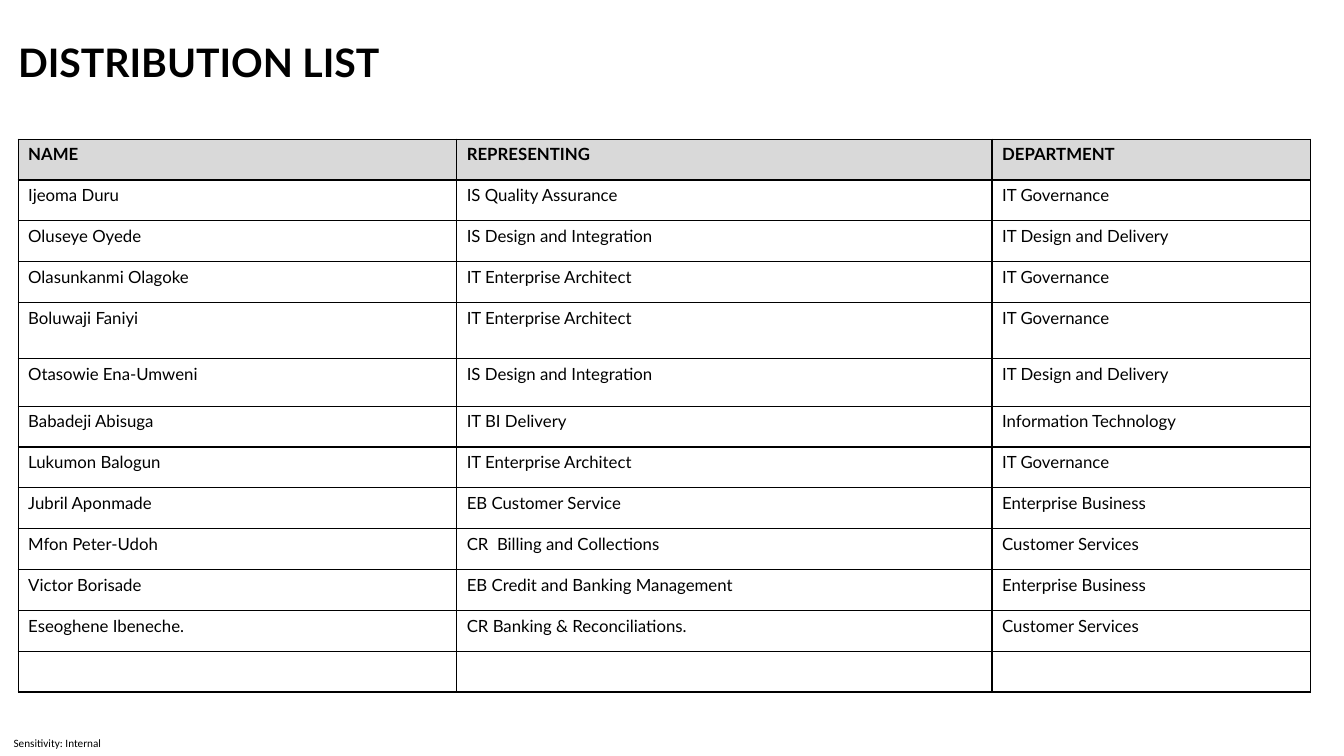
from typing import NamedTuple

import pptx
import pptx.dml.color
import pptx.enum.text
import pptx.oxml
import pptx.oxml.ns
import pptx.util
from pptx.util import Inches

BLACK = pptx.dml.color.RGBColor(0x00, 0x00, 0x00)
HEADER_GREY = pptx.dml.color.RGBColor(0xD9, 0xD9, 0xD9)

TABLE_HEIGHT = 5.49
COLUMN_WIDTHS = (4.35, 5.31, 3.16)
TALL_ROWS = {4: 0.56, 5: 0.47}


class Recipient(NamedTuple):
    name: str = ""
    representing: str = ""
    department: str = ""


HEADER = Recipient("NAME", "REPRESENTING", "DEPARTMENT")
RECIPIENTS = (
    Recipient("Ijeoma Duru", "IS Quality Assurance", "IT Governance"),
    Recipient("Oluseye Oyede", "IS Design and Integration", "IT Design and Delivery"),
    Recipient("Olasunkanmi Olagoke", "IT Enterprise Architect", "IT Governance"),
    Recipient("Boluwaji Faniyi", "IT Enterprise Architect", "IT Governance"),
    Recipient("Otasowie Ena-Umweni", "IS Design and Integration", "IT Design and Delivery"),
    Recipient("Babadeji Abisuga", "IT BI Delivery", "Information Technology"),
    Recipient("Lukumon Balogun", "IT Enterprise Architect", "IT Governance"),
    Recipient("Jubril Aponmade", "EB Customer Service", "Enterprise Business"),
    Recipient("Mfon Peter-Udoh", "CR  Billing and Collections", "Customer Services"),
    Recipient("Victor Borisade", "EB Credit and Banking Management", "Enterprise Business"),
    Recipient("Eseoghene Ibeneche.", "CR Banking & Reconciliations.", "Customer Services"),
    Recipient(),
)


def style_paragraph(p, size: float, font: str = "Lato", bold: bool = False) -> None:
    p.font.name = font
    p.font.size = pptx.util.Pt(size)
    p.font.bold = bold
    p.font.color.rgb = BLACK


def add_text(slide, text: str, left: float, top: float, width: float, height: float):
    """Add a text box without margins and return its text frame."""
    sp = slide.shapes.add_textbox(Inches(left), Inches(top), Inches(width), Inches(height))
    tf = sp.text_frame
    tf.word_wrap = True
    tf.margin_left = tf.margin_right = tf.margin_top = tf.margin_bottom = 0
    tf.text = text
    return tf


def add_borders(cell) -> None:
    properties = cell._tc.get_or_add_tcPr()
    for side in ("lnL", "lnR", "lnT", "lnB"):
        properties.append(pptx.oxml.parse_xml(
            f'<a:{side} {pptx.oxml.ns.nsdecls("a")} w="{pptx.util.Pt(1)}">'
            f'<a:solidFill><a:srgbClr val="{BLACK}"/></a:solidFill></a:{side}>'
        ))


def fill_cell(cell, text: str, is_header: bool) -> None:
    add_borders(cell)
    if is_header:
        cell.fill.solid()
        cell.fill.fore_color.rgb = HEADER_GREY
    else:
        cell.fill.background()
    cell.text = text
    style_paragraph(cell.text_frame.paragraphs[0], 12, bold=is_header)


def add_distribution_table(slide) -> None:
    rows = (HEADER, *RECIPIENTS)
    table = slide.shapes.add_table(
        len(rows), len(COLUMN_WIDTHS), Inches(0.18), Inches(1.38),
        Inches(sum(COLUMN_WIDTHS)), Inches(TABLE_HEIGHT),
    ).table
    table.first_row = table.horz_banding = False
    for column, width in zip(table.columns, COLUMN_WIDTHS):
        column.width = Inches(width)

    regular_height = (TABLE_HEIGHT - sum(TALL_ROWS.values())) / (len(rows) - len(TALL_ROWS))
    for i, recipient in enumerate(rows):
        table.rows[i].height = Inches(TALL_ROWS.get(i, regular_height))
        for j, text in enumerate(recipient):
            fill_cell(table.cell(i, j), text, is_header=i == 0)


def main() -> None:
    prs = pptx.Presentation()
    prs.slide_width, prs.slide_height = Inches(13.33), Inches(7.5)
    slide = prs.slides.add_slide(prs.slide_layouts[6])

    tf = add_text(slide, "Sensitivity: Internal", 0, 7.25, 1.14, 0.25)
    tf.vertical_anchor = pptx.enum.text.MSO_ANCHOR.MIDDLE
    tf.paragraphs[0].alignment = pptx.enum.text.PP_ALIGN.CENTER
    style_paragraph(tf.paragraphs[0], 8, font="Calibri")

    tf = add_text(slide, "DISTRIBUTION LIST", 0.18, 0.33, 12.13, 5.79)
    tf.paragraphs[0].line_spacing = 1.1
    style_paragraph(tf.paragraphs[0], 28, bold=True)

    add_distribution_table(slide)
    prs.save("out.pptx")


if __name__ == "__main__":
    main()
